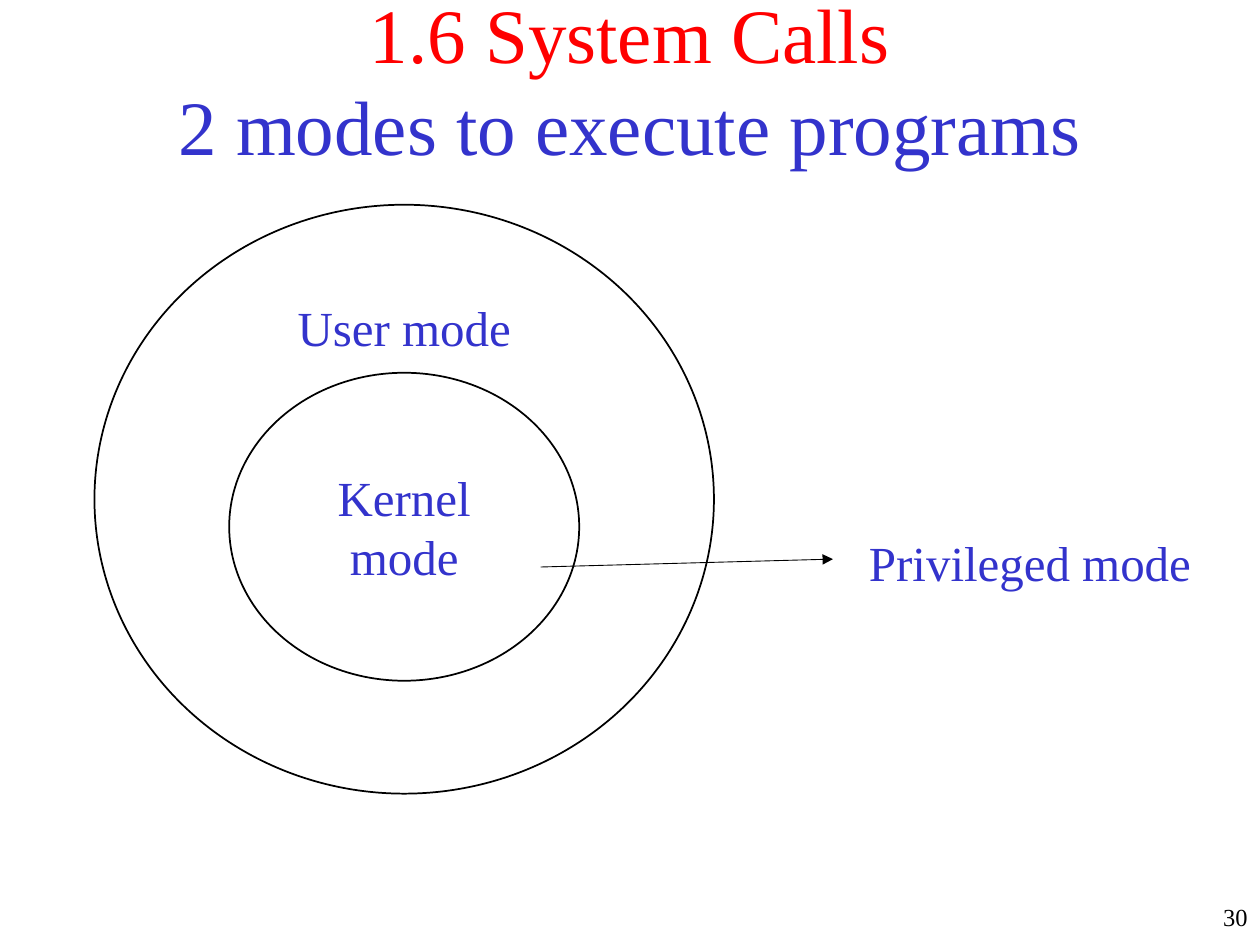
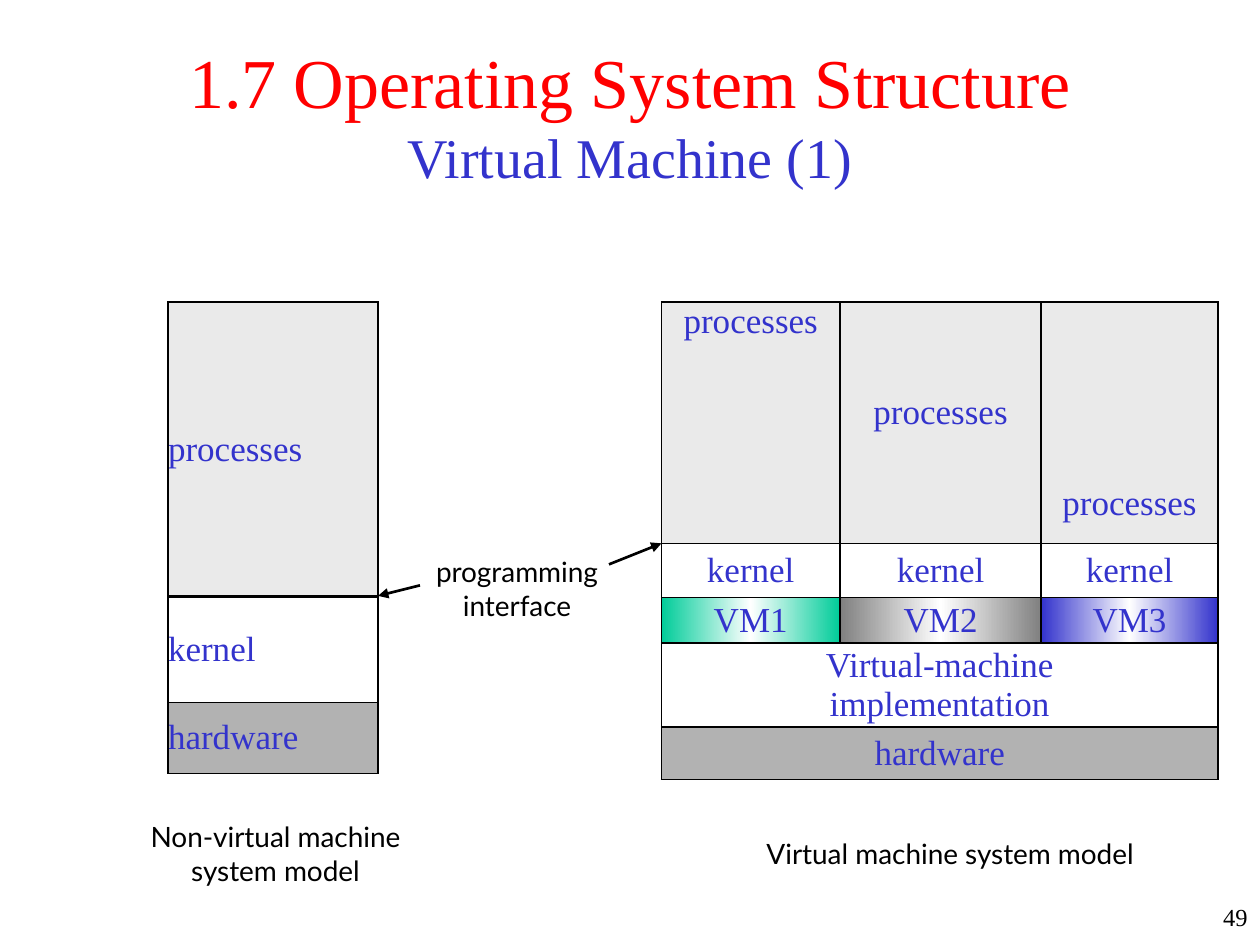
from lxml import etree
from pptx import Presentation
from pptx.dml.color import RGBColor
from pptx.enum import shapes, text
from pptx.oxml import ns
from pptx.util import Pt

# Shared look
RED, BLUE, BLACK, WHITE = "FF0000", "3333CC", "000000", "FFFFFF"
PALE, GREY = "EAEAEA", "B2B2B2"
SERIF, SANS = "Times New Roman", "Lato"
LEFT, MID, RIGHT = text.PP_ALIGN.LEFT, text.PP_ALIGN.CENTER, text.PP_ALIGN.RIGHT
TOP, CENTRE = text.MSO_ANCHOR.TOP, text.MSO_ANCHOR.MIDDLE


def rgb(code):
    return RGBColor.from_string(code)


def node(parent, tag, **attrs):
    return etree.SubElement(parent, ns.qn(tag), attrs)


def style(run, size, color, font=SERIF):
    run.font.size = Pt(size)
    run.font.name = font
    run.font.color.rgb = rgb(color)


def write(frame, words, size, color=BLUE, font=SERIF, align=MID):
    frame.text = words
    for para in frame.paragraphs:
        para.alignment = align
        for run in para.runs:
            style(run, size, color, font)


def start(deck, page, top, lines):
    """Add a slide with its two-line title and page number."""
    slide = deck.slides.add_slide(deck.slide_layouts[5])
    title = slide.shapes.title
    title.left, title.top, title.width, title.height = Pt(54), Pt(top), Pt(612), Pt(90)
    frame = title.text_frame
    frame.text = "\v".join(words for words, size in lines)
    frame.auto_size = text.MSO_AUTO_SIZE.NONE
    frame.vertical_anchor = CENTRE
    para = frame.paragraphs[0]
    para.alignment = MID
    for run, (words, size), color in zip(para.runs, lines, (RED, BLUE)):
        style(run, size, color)
    label(slide, (688, 512, 32, 28), page, 14, BLACK, align=RIGHT, wrap=True)
    return slide


def label(slide, box, words, size, color=BLUE, font=SERIF, align=MID,
          anchor=TOP, wrap=False, inset=True):
    frame = slide.shapes.add_textbox(*map(Pt, box)).text_frame
    frame.word_wrap = wrap
    frame.vertical_anchor = anchor
    if not inset:
        frame.margin_left = frame.margin_right = 0
        frame.margin_top = frame.margin_bottom = 0
    write(frame, words, size, color, font, align)


def ring(slide, box, words, anchor):
    oval = slide.shapes.add_shape(shapes.MSO_SHAPE.OVAL, *map(Pt, box))
    oval.shadow.inherit = False
    oval.fill.solid()
    oval.fill.fore_color.rgb = rgb(WHITE)
    oval.line.color.rgb = rgb(BLACK)
    oval.line.width = Pt(1)
    oval.text_frame.word_wrap = True
    oval.text_frame.vertical_anchor = anchor
    write(oval.text_frame, words, 28)


def arrow(slide, ends, width):
    link = slide.shapes.add_connector(shapes.MSO_CONNECTOR.STRAIGHT, *map(Pt, ends))
    link.line.color.rgb = rgb(BLACK)
    link.line.width = Pt(width)
    node(link.line._get_or_add_ln(), "a:tailEnd", type="triangle")
    node(link._element.spPr, "a:effectLst")


# Tables
def grid(slide, left, top, cols, rows):
    frame = slide.shapes.add_table(len(rows), len(cols), Pt(left), Pt(top),
                                   Pt(sum(cols)), Pt(sum(rows)))
    table = frame.table
    table.first_row = table.horz_banding = False
    for col, width in zip(table.columns, cols):
        col.width = Pt(width)
    for row, height in zip(table.rows, rows):
        row.height = Pt(height)
    for cell in table.iter_cells():
        border(cell)
    return table


def border(cell, **widths):
    """Draw all four edges, 1 pt unless a width is given by side."""
    props = cell._tc.get_or_add_tcPr()
    for side in "LRTB":
        tag = "a:ln" + side
        for old in props.findall(ns.qn(tag)):
            props.remove(old)
    for spot, side in enumerate("LRTB"):
        edge = etree.Element(ns.qn("a:ln" + side), w=str(Pt(widths.get(side, 1))))
        node(node(edge, "a:solidFill"), "a:srgbClr", val=BLACK)
        props.insert(spot, edge)


def put(cell, words, fill=None, align=MID, anchor=CENTRE, drop=0):
    cell.margin_left = cell.margin_right = cell.margin_bottom = 0
    cell.margin_top = Pt(drop)
    cell.vertical_anchor = anchor
    write(cell.text_frame, words, 20, align=align)
    if fill:
        cell.fill.solid()
        cell.fill.fore_color.rgb = rgb(fill)
    else:
        cell.fill.background()


def shine(cell, color):
    """Blend from the colour to white and back, left to right."""
    props = cell._tc.tcPr
    props.remove(props.find(ns.qn("a:noFill")))
    blend = node(props, "a:gradFill", rotWithShape="1")
    stops = node(blend, "a:gsLst")
    for pos, tone in ((0, color), (50, WHITE), (100, color)):
        node(node(stops, "a:gs", pos=str(pos * 1000)), "a:srgbClr", val=tone)
    node(blend, "a:lin", ang="0", scaled="1")


def modes(deck):
    slide = start(deck, "30", 0, [("1.6 System Calls", 44),
                                  ("2 modes to execute programs", 44)])
    ring(slide, (54, 117, 354, 336.5), "User mode", TOP)
    ring(slide, (131, 213, 200, 176), "Kernel mode", CENTRE)
    label(slide, (489.5, 301, 200, 41), "Privileged mode", 28, align=LEFT)
    arrow(slide, (309, 324, 476, 319.5), 0.5)


def models(deck):
    slide = start(deck, "49", 20, [("1.7 Operating System Structure", 40),
                                   ("Virtual Machine (1)", 32)])

    # Captions
    label(slide, (75.5, 464.5, 164, 46), "Non-virtual machine\vsystem model",
          16, BLACK, SANS, anchor=CENTRE)
    label(slide, (423, 474, 240, 27), "Virtual machine system model",
          16, BLACK, SANS, anchor=CENTRE)

    # Plain system
    plain = grid(slide, 96, 172.5, [120], [168.5, 60.5, 40.5])
    layers = [("processes", PALE), ("kernel", None), ("hardware", GREY)]
    for row, (words, fill) in enumerate(layers):
        put(plain.cell(row, 0), words, fill, LEFT)
    border(plain.cell(0, 0), B=2.25)
    border(plain.cell(1, 0), T=2.25)

    # Virtual machines on one host
    host = grid(slide, 378, 172.5, [102, 115, 101], [138, 31, 26, 48, 30])
    for col, color in enumerate(("00CC99", "808080", BLUE)):
        put(host.cell(0, col), "processes", PALE, anchor=TOP, drop=52 * col)
        put(host.cell(1, col), "kernel")
        put(host.cell(2, col), f"VM{col + 1}")
        shine(host.cell(2, col), color)
    shared = [("Virtual-machine\vimplementation", None), ("hardware", GREY)]
    for row, (words, fill) in enumerate(shared, 3):
        host.cell(row, 0).merge(host.cell(row, 2))
        put(host.cell(row, 0), words, fill)

    # Interface between processes and kernel
    label(slide, (248.5, 317, 94, 38), "programming\ninterface", 16, BLACK, SANS,
          inset=False)
    arrow(slide, (348, 322.5, 378, 310.5), 1.5)
    arrow(slide, (240, 334.5, 216, 340.5), 1.5)


def main():
    deck = Presentation()
    deck.slide_width, deck.slide_height = Pt(720), Pt(540)
    modes(deck)
    models(deck)
    deck.save("out.pptx")


if __name__ == "__main__":
    main()
